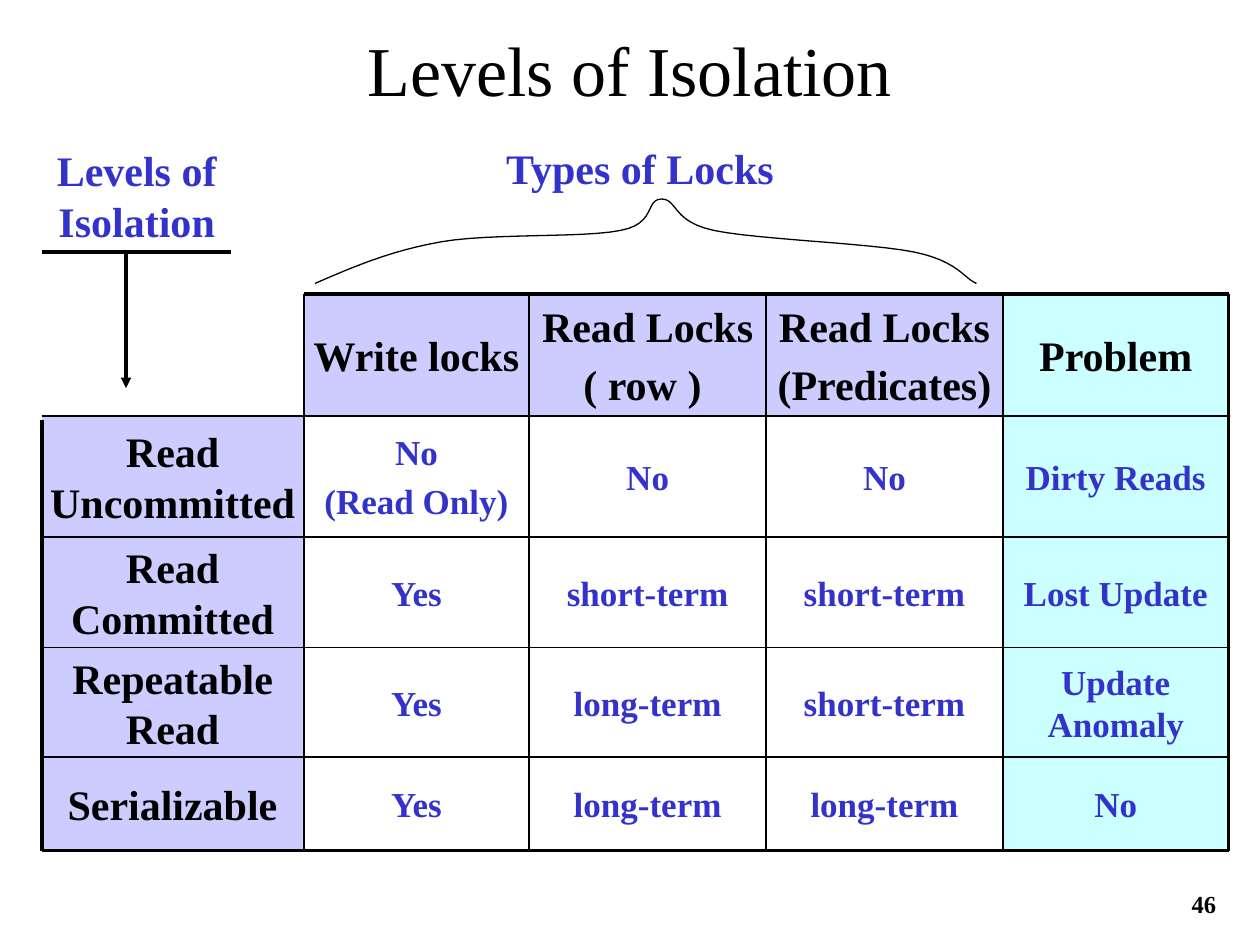
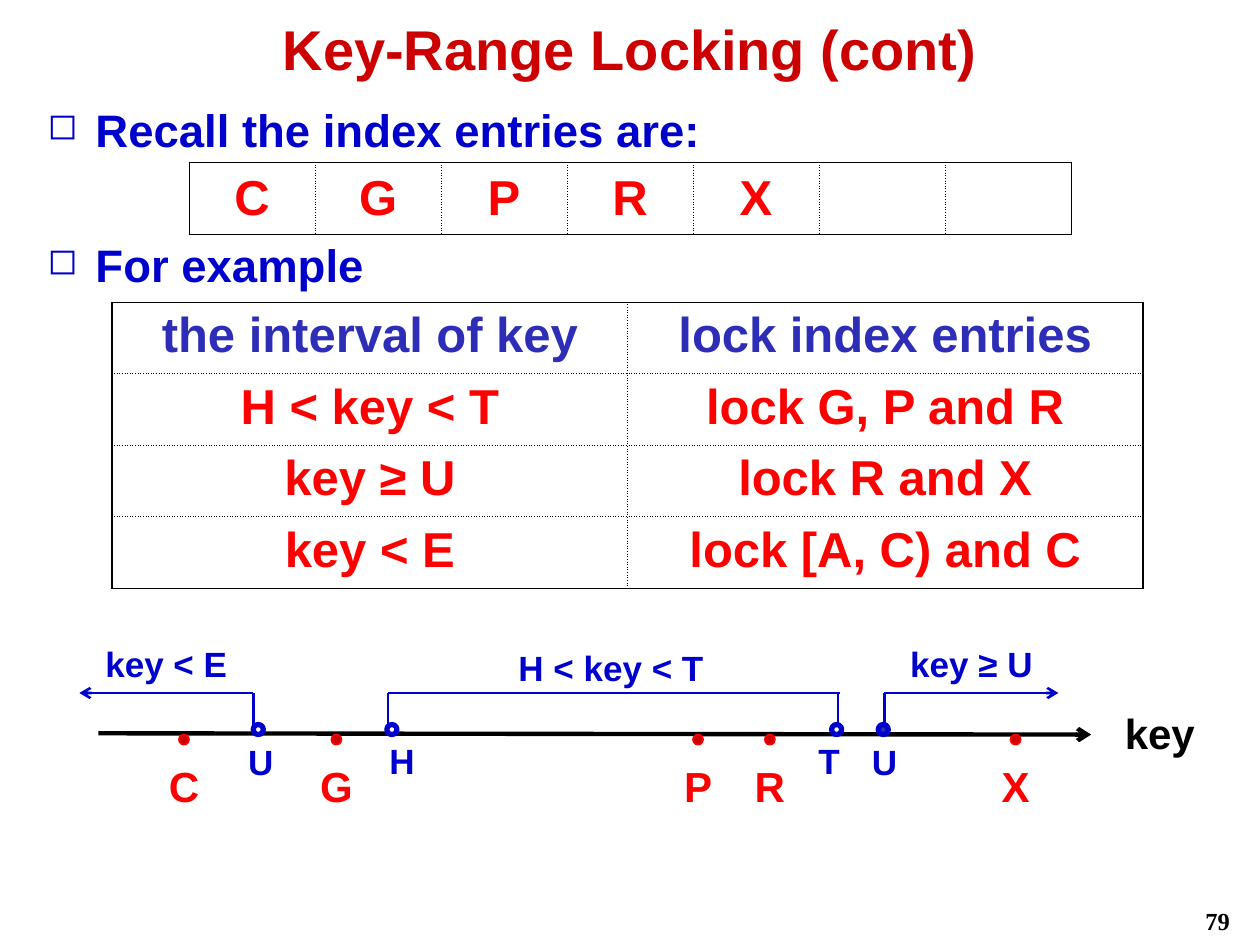
"""Build two slides on isolation levels and key-range locking."""
from itertools import accumulate
from lxml.etree import SubElement as Sub
from pptx import Presentation
from pptx.dml.color import RGBColor as RGB
from pptx.enum.shapes import MSO_CONNECTOR as CONN, MSO_SHAPE as SHAPE
from pptx.enum.text import MSO_ANCHOR as ANCHOR, PP_ALIGN as ALIGN
from pptx.oxml.ns import qn
from pptx.util import Inches, Pt

C = {
    "black": "000000", "white": "FFFFFF", "violet": "3333CC", "lilac": "CCCCFF",
    "aqua": "CCFFFF", "title": "CC0000", "blue": "0000CC", "indigo": "2D2DB7",
    "red": "FF0000",
}
SERIF, SANS = "Times New Roman", "Arial"
TOP, MID = ANCHOR.TOP, ANCHOR.MIDDLE
LEFT, CENTER, RIGHT = ALIGN.LEFT, ALIGN.CENTER, ALIGN.RIGHT


def write(tf, text, size, color, font, bold=True, align=CENTER):
    tf.text = text
    for i, p in enumerate(tf.paragraphs):
        p.alignment = align
        p.space_before = Pt(0.2 * size if i else 0)
        for r in p.runs:
            r.font.size, r.font.name, r.font.bold = Pt(size), font, bold
            r.font.color.rgb = RGB.from_string(C[color])


def add_line(s, x1, y1, x2, y2, color, width, arrow=None):
    sp = s.shapes.add_connector(CONN.STRAIGHT, Inches(x1), Inches(y1), Inches(x2), Inches(y2))
    sp.line.width = Pt(width)
    sp.line.color.rgb = RGB.from_string(C[color])
    if arrow:
        Sub(sp.line._get_or_add_ln(), qn("a:tailEnd"), type=arrow)
    Sub(sp._element.spPr, qn("a:effectLst"))


prs = Presentation()
prs.slide_width, prs.slide_height = Inches(10), Inches(7.5)
levels, ranges = [prs.slides.add_slide(prs.slide_layouts[6]) for _ in range(2)]

lock_rows = [
    ["", "Write locks", "Read Locks\n( row ) ", "Read Locks\n(Predicates)", "Problem"],
    ["Read Uncommitted", "No\n(Read Only)", "No", "No", "Dirty Reads"],
    ["Read Committed", "Yes", "short-term", "short-term", "Lost Update"],
    ["Repeatable Read", "Yes", "long-term", "short-term", "Update Anomaly"],
    ["Serializable", "Yes", "long-term", "long-term", "No"],
]
widths, heights = [2.08, 1.79, 1.88, 1.88, 1.79], [0.97, 0.96, 0.88, 0.87, 0.74]
xs = list(accumulate(widths, initial=0.33))
ys = list(accumulate(heights, initial=2.33))
for i, row in enumerate(lock_rows):
    for j, text in enumerate(row):
        if not text:
            continue
        sp = levels.shapes.add_shape(SHAPE.RECTANGLE, Inches(xs[j]), Inches(ys[i]),
                                     Inches(widths[j]), Inches(heights[i]))
        sp.shadow.inherit = False
        sp.line.fill.background()
        heading = i == 0 or j == 0
        fill = "aqua" if j == 4 else "lilac" if heading else None
        if fill:
            sp.fill.solid()
            sp.fill.fore_color.rgb = RGB.from_string(C[fill])
        else:
            sp.fill.background()
        tf = sp.text_frame
        tf.word_wrap = True
        tf.vertical_anchor = MID
        tf.margin_left = tf.margin_right = tf.margin_top = tf.margin_bottom = 0
        size, color = (24, "black") if heading else (20, "violet")
        write(tf, text, size, color, SERIF)
for i, y in enumerate(ys):
    add_line(levels, xs[0 if i else 1], y, xs[-1], y, "black", 2.25 if i in (0, 5) else 1)
for j, x in enumerate(xs):
    add_line(levels, x, ys[0] if j else 3.33, x, ys[-1], "black", 2.25 if j in (0, 5) else 1)

index_rows = [["C", "G", "P", "R", "X", "", ""]]
example_rows = [
    ["the interval of key", "lock index entries"],
    ["H < key < T", "lock G, P and R"],
    ["key ≥ U", "lock R and X"],
    ["key < E", "lock [A, C) and C"],
]
tables = [
    (1.5, 1.29, 7, 0.57, index_rows, 0.5, MID),
    (0.89, 2.4, 8.18, 2.27, example_rows, 1, TOP),
]
for x, y, w, h, rows, outer, anchor in tables:
    n_rows, n_cols = len(rows), len(rows[0])
    table = ranges.shapes.add_table(n_rows, n_cols, Inches(x), Inches(y),
                                    Inches(w), Inches(h)).table
    table.first_row = table.horz_banding = False
    for i, row in enumerate(rows):
        for j, text in enumerate(row):
            cell = table.cell(i, j)
            cell.vertical_anchor = anchor
            edges = {"L": j == 0, "R": j == n_cols - 1, "T": i == 0, "B": i == n_rows - 1}
            for side, is_edge in edges.items():
                ln = Sub(cell._tc.get_or_add_tcPr(), qn(f"a:ln{side}"),
                         w=str(Pt(outer if is_edge else 0.5)))
                Sub(Sub(ln, qn("a:solidFill")), qn("a:srgbClr"), val=C["black"])
                Sub(ln, qn("a:prstDash"), val="solid" if is_edge else "sysDot")
            cell.fill.background()
            color = "indigo" if rows is example_rows and i == 0 else "red"
            write(cell.text_frame, text, 28, color, SANS)

add_line(levels, 0.33, 2, 1.83, 2, "black", 2)
add_line(levels, 1, 2, 1, 3.08, "black", 2, "triangle")

brace = [
    [(2.5, 2.25), (2.8, 2.12), (3.1, 1.99), (3.5, 1.92)],
    [(3.5, 1.92), (3.9, 1.85), (4.62, 1.89), (4.92, 1.83)],
    [(4.92, 1.83), (5.21, 1.78), (5.12, 1.58), (5.25, 1.58)],
    [(5.25, 1.58), (5.38, 1.58), (5.33, 1.76), (5.67, 1.83)],
    [(5.67, 1.83), (6, 1.9), (6.9, 1.93), (7.25, 2)],
    [(7.25, 2), (7.6, 2.07), (7.65, 2.21), (7.75, 2.25)],
]
steps = 12
points = []
for curve in brace:
    for k in range(1, steps + 1):
        t = k / steps
        weights = [(1 - t) ** 3, 3 * t * (1 - t) ** 2, 3 * t * t * (1 - t), t ** 3]
        points.append([Inches(sum(w * pt[axis] for w, pt in zip(weights, curve)))
                       for axis in (0, 1)])
fb = levels.shapes.build_freeform(Inches(2.5), Inches(2.25))
fb.add_line_segments(points, close=False)
sp = fb.convert_to_shape()
sp.shadow.inherit = False
sp.fill.background()
sp.line.width = Pt(0.75)
sp.line.color.rgb = RGB.from_string(C["black"])

add_line(ranges, 0.78, 5.82, 8.66, 5.83, "black", 2.5, "arrow")
for x in (2.01, 3.08, 6.65, 7.02):
    add_line(ranges, x, 5.75, x, 5.5, "blue", 1.5)
for x1, x2, arrow in [(2.01, 0.63, "arrow"), (3.08, 6.67, None), (7.02, 8.4, "arrow")]:
    add_line(ranges, x1, 5.5, x2, 5.5, "blue", 1.5, arrow)

entries = {"C": 1.22, "G": 2.43, "P": 5.3, "R": 5.87, "X": 7.82}
dots = [(x + 0.2, 5.83, "title", "red", 1) for x in entries.values()]
dots += [(x, 5.75, "white", "blue", 3) for x in (2.01, 3.07, 6.6)]
dots.append((6.97, 5.75, "indigo", "blue", 3))
for x, y, fill, line, width in dots:
    sp = ranges.shapes.add_shape(SHAPE.FLOWCHART_CONNECTOR, Inches(x), Inches(y),
                                 Inches(0.08), Inches(0.08))
    sp.shadow.inherit = False
    sp.fill.solid()
    sp.fill.fore_color.rgb = RGB.from_string(C[fill])
    sp.line.color.rgb = RGB.from_string(C[line])
    sp.line.width = Pt(width)

texts = [
    (levels, 0.75, 0.08, 8.5, 0.92, "Levels of Isolation", 40, "black", SERIF, False, CENTER, MID),
    (levels, 0.25, 1.1, 1.67, 0.9, "Levels of Isolation", 24, "violet", SERIF, True, CENTER, TOP),
    (levels, 2.33, 1.08, 5.5, 0.5, "Types of Locks", 24, "violet", SERIF, True, CENTER, TOP),
    (levels, 8.77, 7.01, 0.98, 0.35, "46", 14, "black", SERIF, True, RIGHT, TOP),
    (ranges, 0.75, 0.06, 8.5, 0.64, "Key-Range Locking (cont)", 32, "title", SANS, True, CENTER, MID),
    (ranges, 7.78, 7.14, 2.08, 0.29, "79", 14, "black", SERIF, True, RIGHT, TOP),
    (ranges, 8.77, 5.57, 0.87, 0.5, "key", 24, "black", SANS, True, CENTER, TOP),
]
for text, y in [("Recall the index entries are:", 0.76), ("For example", 1.83)]:
    texts.append((ranges, 0.28, y, 9.36, 0.54, text, 26, "blue", SANS, True, LEFT, TOP))
for text, x in entries.items():
    texts.append((ranges, x, 5.99, 0.48, 0.5, text, 24, "red", SANS, True, CENTER, TOP))
for text, x, y, w in [("U", 1.83, 5.83, 0.48), ("H", 2.95, 5.82, 0.48), ("T", 6.36, 5.82, 0.44),
                      ("U", 6.78, 5.83, 0.48), ("key < E", 0.63, 5.05, 1.38),
                      ("H < key < T", 3.35, 5.08, 3), ("key ≥ U", 7.02, 5.05, 1.38)]:
    texts.append((ranges, x, y, w, 0.44, text, 20, "blue", SANS, True, CENTER, TOP))

for s, x, y, w, h, text, size, color, font, bold, align, anchor in texts:
    tf = s.shapes.add_textbox(Inches(x), Inches(y), Inches(w), Inches(h)).text_frame
    tf.word_wrap = True
    tf.vertical_anchor = anchor
    write(tf, text, size, color, font, bold, align)
    if align == LEFT:
        pPr = tf.paragraphs[0]._p.get_or_add_pPr()
        pPr.set("marL", str(Inches(0.38)))
        pPr.set("indent", str(-Inches(0.38)))
        Sub(pPr, qn("a:buSzPct"), val="80000")
        Sub(pPr, qn("a:buChar"), char="◻")

prs.save("out.pptx")
